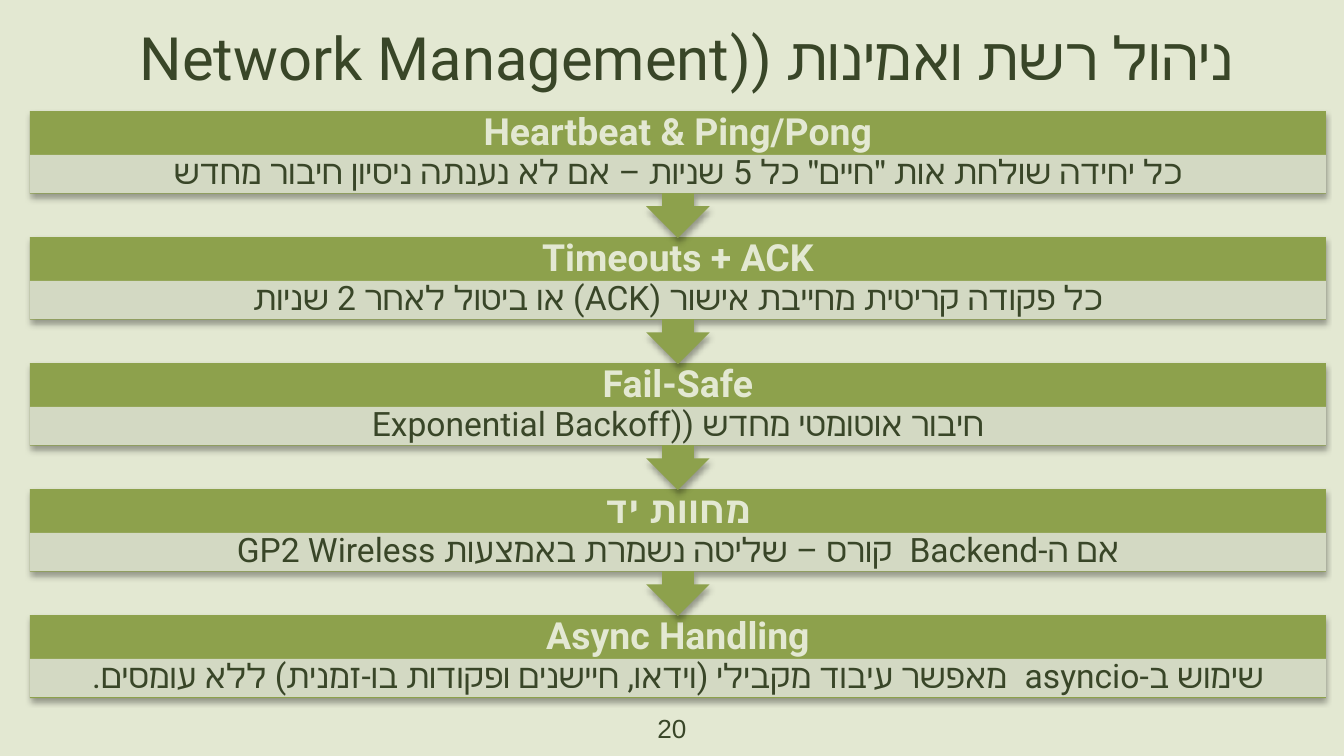
"""Build the network management slide: five steps chained by callout arrows."""
from lxml import etree
from pptx import Presentation
from pptx import util as u
from pptx.dml.color import RGBColor
from pptx.enum import shapes, text
from pptx.oxml import ns

PX = 6804
INK, PALE, GREEN, CAPTION = "394628", "E3E8D2", "8DA14C", "DBE0D0"
LEFT, WIDTH, TOP, PITCH = 30, 1296, 111, 126
HEADING_H, CAPTION_H, CALLOUT_H, LAST_H = 44, 38, 127, 83

STEPS = [
    ("Heartbeat & Ping/Pong",
     "כל יחידה שולחת אות ״חיים״ כל 5 שניות – אם לא נענתה ניסיון חיבור מחדש"),
    ("Timeouts + ACK", "כל פקודה קריטית מחייבת אישור (ACK) או ביטול לאחר 2 שניות"),
    ("Fail-Safe", "חיבור אוטומטי מחדש ((Exponential Backoff"),
    ("מחוות יד", "אם ה-Backend  קורס – שליטה נשמרת באמצעות GP2 Wireless"),
    ("Async Handling",
     "שימוש ב-asyncio  מאפשר עיבוד מקבילי (וידאו, חיישנים ופקודות בו-זמנית) ללא עומסים."),
]


def color(value):
    return RGBColor.from_string(value)


def px(*lengths):
    return [u.Emu(length * PX) for length in lengths]


def child(parent, tag, **attributes):
    return etree.SubElement(parent, ns.qn(tag), attributes)


class Deck:
    def __init__(self, width, height):
        self.prs = Presentation()
        self.prs.slide_width, self.prs.slide_height = px(width, height)
        self.slide = self.prs.slides.add_slide(self.prs.slide_layouts[5])
        background = self.slide.background.fill
        background.solid()
        background.fore_color.rgb = color(PALE)
        self.diagram = self.slide.shapes.add_group_shape().shapes

    def set_text(self, frame, words, size, ink=INK, bold=False, face="Roboto", rtl=True,
                 spacing=0.9, anchor=text.MSO_ANCHOR.MIDDLE, insets=(13, 13)):
        side, end = px(*insets)
        frame_format = {
            "word_wrap": True, "auto_size": text.MSO_AUTO_SIZE.NONE,
            "vertical_anchor": anchor, "margin_left": side, "margin_right": side,
            "margin_top": end, "margin_bottom": end,
        }
        for name, value in frame_format.items():
            setattr(frame, name, value)
        line = frame.paragraphs[0]
        line.alignment, line.line_spacing = text.PP_ALIGN.CENTER, spacing
        if rtl:
            line._p.get_or_add_pPr().set("rtl", "1")
        run = line.add_run()
        run.text = words
        for name, value in {"size": u.Pt(size), "bold": bold, "name": face}.items():
            setattr(run.font, name, value)
        run.font.color.rgb = color(ink)
        child(run._r.get_or_add_rPr(), "a:cs", typeface=face)

    def title(self, words, box):
        heading = self.slide.shapes.title
        for name, value in zip(("left", "top", "width", "height"), px(*box)):
            setattr(heading, name, value)
        self.set_text(heading.text_frame, words, 32, spacing=0.7, anchor=text.MSO_ANCHOR.TOP)

    def page_number(self, words, box):
        number = self.slide.shapes.add_textbox(*px(*box))
        self.set_text(number.text_frame, words, 14, face="Arial", rtl=False, spacing=1.0,
                      anchor=text.MSO_ANCHOR.TOP)

    def label(self, words, box, size, **style):
        self.set_text(self.diagram.add_textbox(*px(*box)).text_frame, words, size, **style)

    def panel(self, kind, box, fill):
        panel = self.diagram.add_shape(kind, *px(*box))
        panel.shadow.inherit = False
        panel.fill.solid()
        panel.fill.fore_color.rgb = color(fill)
        panel.line.fill.background()
        return panel

    def card(self, kind, box, rotation):
        card = self.panel(kind, box, GREEN)
        card.rotation = rotation
        effects = card._element.spPr.find(ns.qn("a:effectLst"))
        shade = child(effects, "a:outerShdw", blurRad=str(u.Pt(3.1)), dist=str(u.Pt(1.8)),
                      dir="5400000", rotWithShape="0")
        child(child(shade, "a:srgbClr", val="000000"), "a:alpha", val="35000")

    def caption(self, words, box):
        strip = self.panel(shapes.MSO_SHAPE.RECTANGLE, box, CAPTION)
        tint = strip._element.spPr.find(".//" + ns.qn("a:srgbClr"))
        child(tint, "a:alpha", val="90000")
        self.label(words, box, 18, insets=(19, 4))

    def step(self, heading, detail, top, last):
        if last:
            kind, height, rotation = shapes.MSO_SHAPE.RECTANGLE, LAST_H, 0
        else:
            kind, height, rotation = shapes.MSO_SHAPE.UP_ARROW_CALLOUT, CALLOUT_H, 180
        self.card(kind, (LEFT, top, WIDTH, height), rotation)
        self.label(heading, (LEFT, top, WIDTH, HEADING_H), 20, ink=PALE, bold=True,
                   insets=(22, 22))
        self.caption(detail, (LEFT, top + HEADING_H, WIDTH, CAPTION_H))


def main():
    deck = Deck(1344, 756)
    deck.title("ניהול רשת ואמינות ((Network Management", (46, 27, 1281, 85))
    deck.page_number("20", (0, 699, 1344, 46))
    final = len(STEPS) - 1
    for index, (heading, detail) in reversed(list(enumerate(STEPS))):
        deck.step(heading, detail, TOP + index * PITCH, index == final)
    deck.prs.save("out.pptx")


if __name__ == "__main__":
    main()
